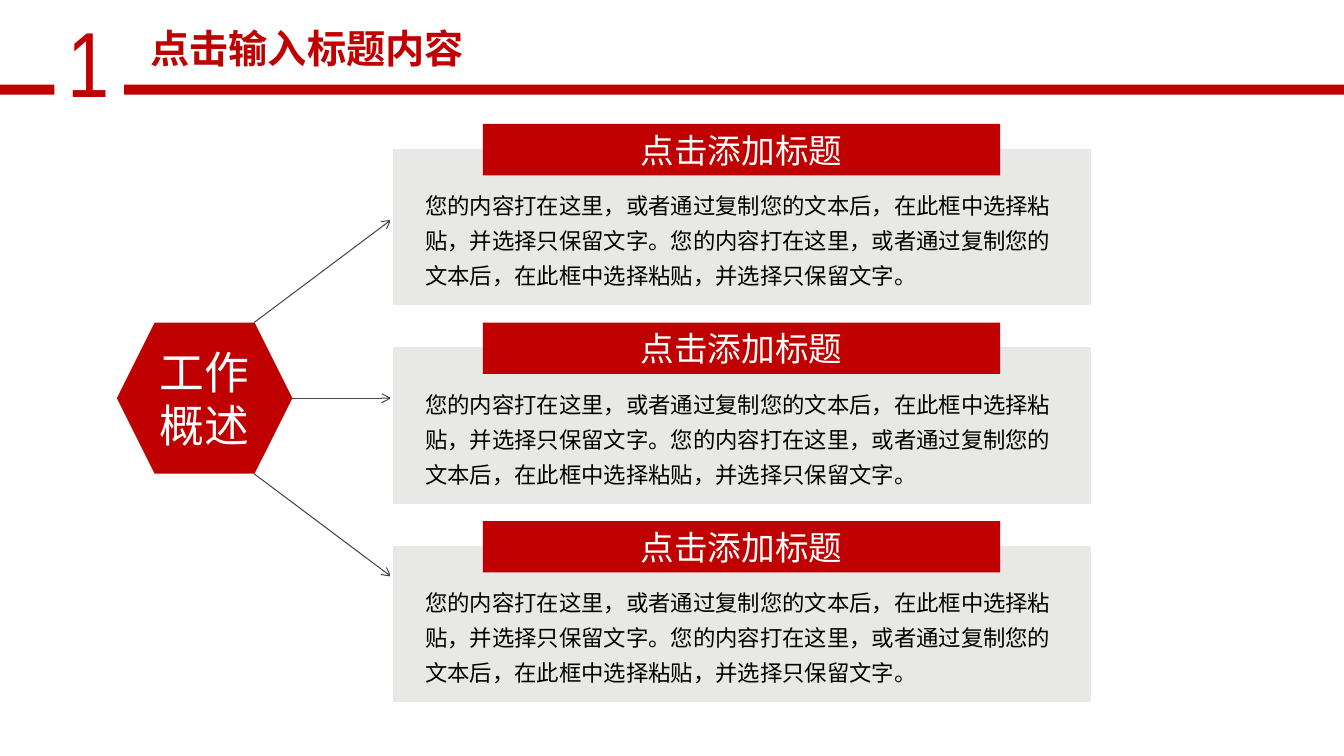
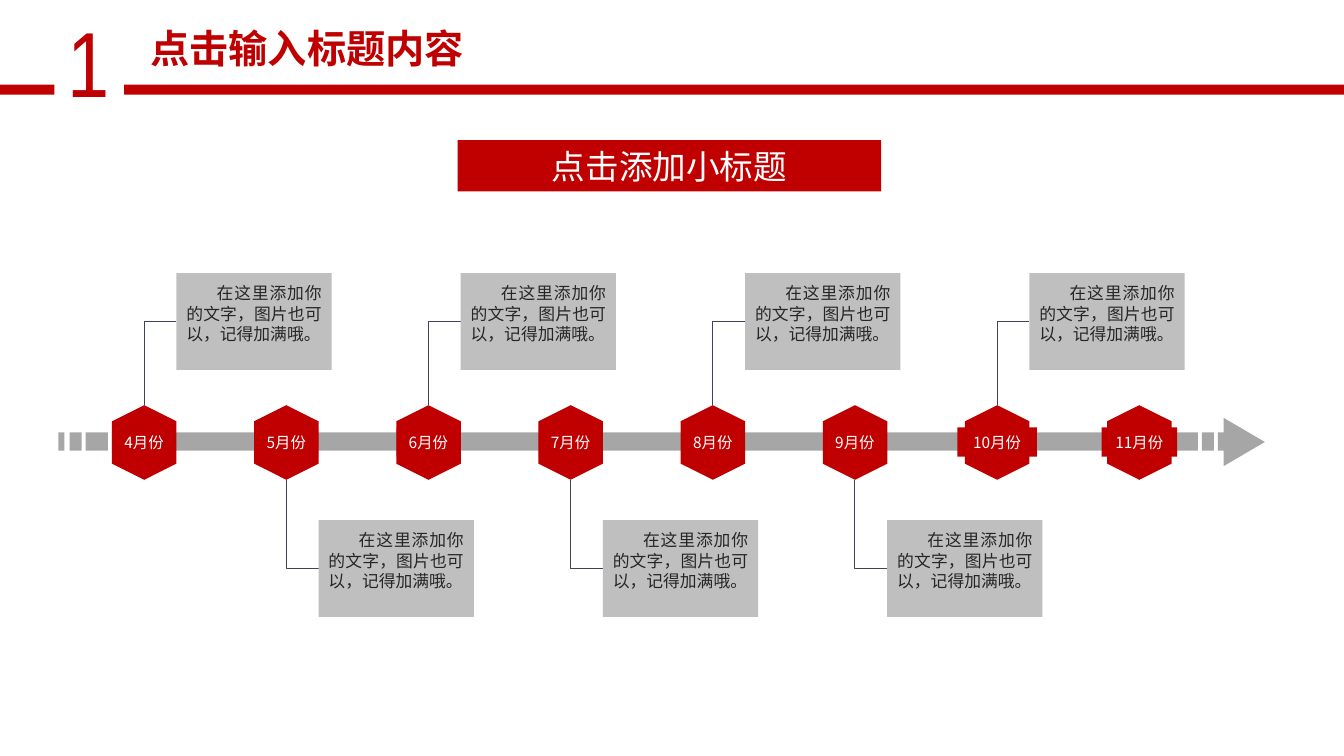
from lxml import etree
from pptx import Presentation
from pptx import util as u
from pptx.dml.color import RGBColor
from pptx.enum import shapes, text
from pptx.oxml.ns import qn

Inches = u.Inches
SHAPE = shapes.MSO_SHAPE
ALIGN = text.PP_ALIGN
ANCHOR = text.MSO_ANCHOR

# Shared style
COLORS = {
    "red": "C00000", "white": "FFFFFF", "black": "000000", "ink": "262626",
    "panel": "E8E8E6", "card": "BFBFBF", "track": "A6A6A6", "line": "414455",
}
BODY_FONT = "Noto Sans CJK SC"
NUMBER_FONT = "Arial Narrow"
SECTION_NUMBER = "1"
HEADER_BANDS = [(1.23, 12.11), (-0.03, 0.57)]  # left, width

# Overview slide content
OVERVIEW_TITLE = "点击输入标题内容"
HUB_TEXT = "工作概述"
SENTENCE = "您的内容打在这里，或者通过复制您的文本后，在此框中选择粘贴，并选择只保留文字。"
PANELS = [("点击添加标题", SENTENCE * 2)] * 3
PANEL_TOP, PANEL_STEP = 1.46, 1.97
ARROWS = [((2.52, 3.2), (3.88, 2.18)),
          ((2.9, 3.95), (3.88, 3.95)),
          ((2.52, 4.7), (3.88, 5.72))]

# Timeline slide content
TIMELINE_TITLE = "点击输入标题内容"
SUBTITLE = "点击添加小标题"
NOTE = "在这里添加你的文字，图片也可以，记得加满哦。"
MONTHS = [  # label, label width, note
    ("4月份", 0.63, NOTE), ("5月份", 0.63, NOTE), ("6月份", 0.63, NOTE),
    ("7月份", 0.63, NOTE), ("8月份", 0.63, NOTE), ("9月份", 0.63, NOTE),
    ("10月份", 0.79, NOTE), ("11月份", 0.75, None),
]
FIRST_MONTH, MONTH_STEP = 1.43, 1.41
AXIS = 4.39
TRACK_SEGMENTS = [(0.58, 0.06), (0.69, 0.12), (0.85, 0.22), (1.11, 10.51),
                  (11.66, 0.22), (11.92, 0.12), (12.08, 0.06)]  # left, width


def rgb(name):
    return RGBColor.from_string(COLORS[name])


def write(shape, words, size, color, align=ALIGN.LEFT, anchor=ANCHOR.TOP,
          font=BODY_FONT, bold=False, wrap=True, spacing=None, indent=None):
    frame = shape.text_frame
    frame.word_wrap = wrap
    frame.vertical_anchor = anchor
    paragraph = frame.paragraphs[0]
    paragraph.alignment = align
    if spacing:
        paragraph.line_spacing = spacing
    if indent:
        paragraph._p.get_or_add_pPr().set("indent", str(Inches(indent)))
    run = paragraph.add_run()
    run.text = words
    run.font.size = u.Pt(size)
    run.font.bold = bold
    run.font.color.rgb = rgb(color)
    run.font.name = font
    east_asian = etree.SubElement(run._r.get_or_add_rPr(), qn("a:ea"))
    east_asian.set("typeface", font)


def add_box(slide, kind, left, top, width, height, fill, rotation=0):
    shape = slide.shapes.add_shape(
        kind, Inches(left), Inches(top), Inches(width), Inches(height))
    shape.shadow.inherit = False
    shape.fill.solid()
    shape.fill.fore_color.rgb = rgb(fill)
    shape.line.fill.background()
    shape.rotation = rotation
    return shape


def add_textbox(slide, left, top, width, height):
    return slide.shapes.add_textbox(
        Inches(left), Inches(top), Inches(width), Inches(height))


def add_line(slide, kind, start, end):
    connector = slide.shapes.add_connector(
        kind, *(Inches(value) for value in start + end))
    connector.line.color.rgb = rgb("line")
    connector.line.width = u.Pt(0.75)
    etree.SubElement(connector._element.spPr, qn("a:effectLst"))
    return connector


def add_heading(slide, words, left, top, width):
    bar = add_box(slide, SHAPE.RECTANGLE, left, top, width, 0.51, "red")
    write(bar, words, 24, "white", ALIGN.CENTER, ANCHOR.MIDDLE)


def add_slide(presentation, title):
    slide = presentation.slides.add_slide(presentation.slide_layouts[6])
    write(add_textbox(slide, 0.57, 0, 0.34, 1.21), SECTION_NUMBER, 66, "red",
          font=NUMBER_FONT)
    for left, width in HEADER_BANDS:
        add_box(slide, SHAPE.RECTANGLE, left, 0.84, width, 0.1, "red")
    write(add_textbox(slide, 1.25, 0.19, 3.59, 0.57), title, 28, "red",
          ALIGN.CENTER, bold=True)
    return slide


def build_overview(presentation):
    slide = add_slide(presentation, OVERVIEW_TITLE)

    # Hub and arrows
    hub = add_box(slide, SHAPE.HEXAGON, 1.16, 3.2, 1.74, 1.5, "red")
    write(hub, HUB_TEXT, 32, "white", ALIGN.CENTER, ANCHOR.MIDDLE)
    for start, end in ARROWS:
        arrow = add_line(slide, shapes.MSO_CONNECTOR.STRAIGHT, start, end)
        tail = etree.SubElement(arrow.line._get_or_add_ln(), qn("a:tailEnd"))
        tail.set("type", "arrow")

    # Text panels
    for index, (heading, body) in enumerate(PANELS):
        top = PANEL_TOP + index * PANEL_STEP
        panel = add_box(slide, SHAPE.RECTANGLE, 3.88, top, 6.96, 1.58, "panel")
        panel.line.color.rgb = rgb("white")
        panel.line.width = u.Pt(2)
        add_heading(slide, heading, 4.79, top - 0.23, 5.13)
        write(add_textbox(slide, 4.12, top + 0.32, 6.61, 1.15), body, 16,
              "black", spacing=1.3)


def add_note(slide, center, words, above):
    card_left, card_height = center + 0.32, 0.96
    card_top = 2.71 if above else 5.16
    hexagon_edge = 4.02 if above else 4.76
    elbow = add_line(slide, shapes.MSO_CONNECTOR.ELBOW,
                     (card_left, card_top + card_height / 2),
                     (center, hexagon_edge))
    # One bend only: sideways from the card, then straight to the hexagon
    elbow._element.spPr.find(qn("a:prstGeom")).set("prst", "bentConnector2")
    card = add_box(slide, SHAPE.RECTANGLE, card_left, card_top, 1.54,
                   card_height, "card")
    card.text_frame.margin_top = Inches(0.1)
    write(card, words, 12, "ink", ALIGN.JUSTIFY, indent=0.3)


def build_timeline(presentation):
    slide = add_slide(presentation, TIMELINE_TITLE)
    add_heading(slide, SUBTITLE, 4.54, 1.39, 4.2)

    # Track with arrow tip
    for left, width in TRACK_SEGMENTS:
        add_box(slide, SHAPE.RECTANGLE, left, AXIS - 0.1, width, 0.18, "track")
    add_box(slide, SHAPE.ISOSCELES_TRIANGLE, 12.1, 4.18, 0.48, 0.41, "track", 90)

    # Months, with notes alternately above and below
    for index, (month, label_width, note) in enumerate(MONTHS):
        center = FIRST_MONTH + index * MONTH_STEP
        if note:
            add_note(slide, center, note, above=index % 2 == 0)
        add_box(slide, SHAPE.HEXAGON, center - 0.37, AXIS - 0.32, 0.74, 0.64,
                "red", 90)
        label = add_box(slide, SHAPE.RECTANGLE, center - label_width / 2,
                        AXIS - 0.15, label_width, 0.29, "red")
        write(label, month, 11, "white", ALIGN.CENTER, ANCHOR.MIDDLE, wrap=False)


def main():
    presentation = Presentation()
    presentation.slide_width = Inches(13.33)
    presentation.slide_height = Inches(7.5)
    build_overview(presentation)
    build_timeline(presentation)
    presentation.save("out.pptx")


if __name__ == "__main__":
    main()
